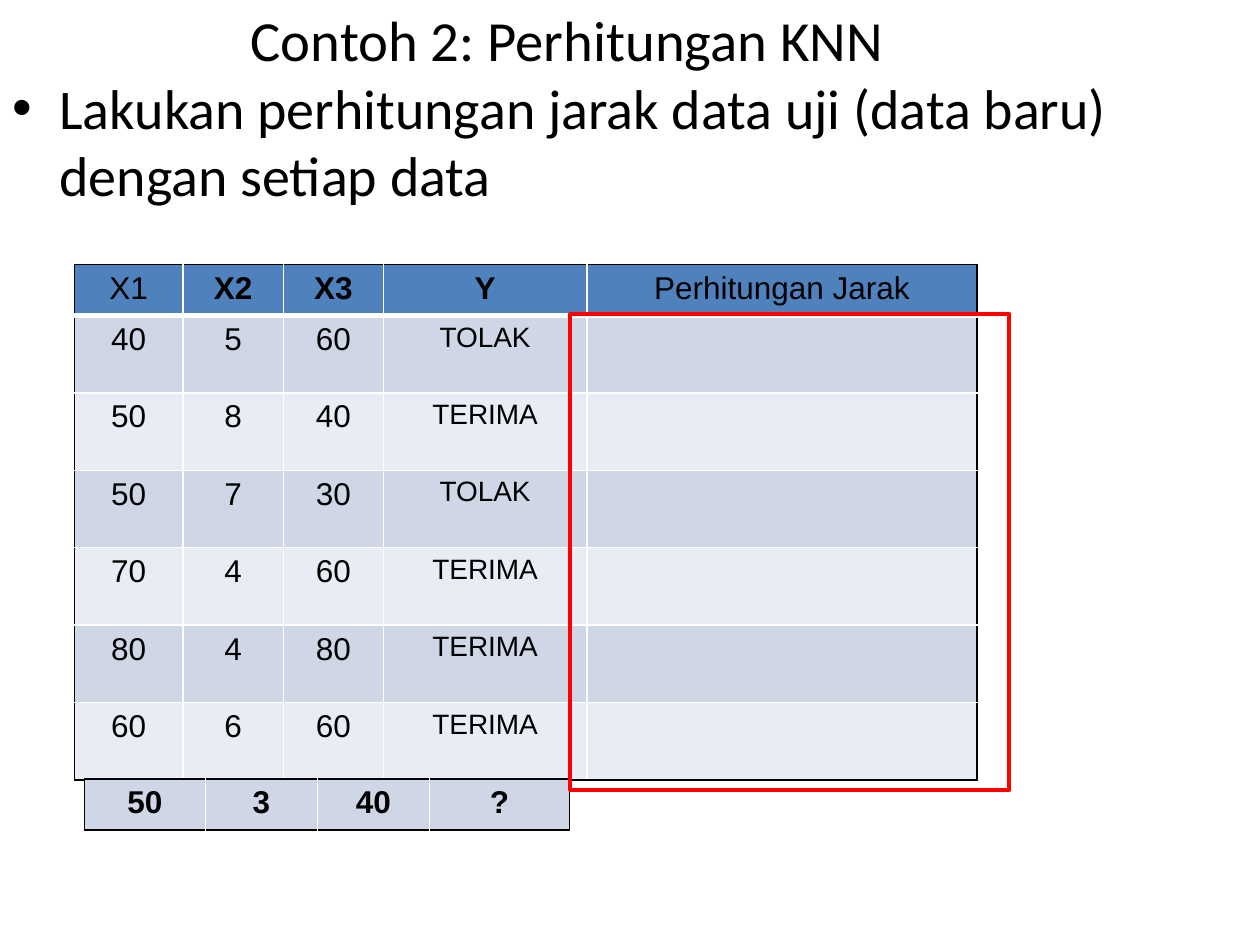
from lxml.etree import SubElement
from pptx import Presentation
from pptx.dml.color import RGBColor
from pptx.enum.shapes import MSO_SHAPE
from pptx.enum.text import MSO_ANCHOR, MSO_AUTO_SIZE, PP_ALIGN
from pptx.oxml import parse_xml
from pptx.oxml.ns import nsdecls, qn
from pptx.util import Cm, Pt


def color(hex_text):
    return RGBColor.from_string(hex_text)


def style_cell(cell, text, fill, size, bold, borders):
    """Fill a cell and draw its borders, given as (colour, points) for L, R, T, B."""
    cell.text = text
    cell.margin_left = cell.margin_right = Cm(0.18)
    cell.margin_top = cell.margin_bottom = Cm(0.13)
    cell.fill.solid()
    cell.fill.fore_color.rgb = color(fill)
    paragraph = cell.text_frame.paragraphs[0]
    paragraph.alignment = PP_ALIGN.CENTER
    for run in paragraph.runs:
        run.font.name = "Arial"
        run.font.size = Pt(size)
        run.font.bold = bold
        run.font.color.rgb = color("000000")
    properties = cell._tc.get_or_add_tcPr()
    for position, (side, (line_color, width)) in enumerate(zip("LRTB", borders)):
        properties.insert(position, parse_xml(
            f'<a:ln{side} {nsdecls("a")} w="{Pt(width)}"><a:solidFill>'
            f'<a:srgbClr val="{line_color}"/></a:solidFill></a:ln{side}>'))


presentation = Presentation()
presentation.slide_width = Cm(25.4)
presentation.slide_height = Cm(19.05)
slide = presentation.slides.add_slide(presentation.slide_layouts[5])

# Title
title = slide.shapes.title
title.left, title.top, title.width, title.height = Cm(0), Cm(0), Cm(22.86), Cm(1.55)
title.text_frame.text = "Contoh 2: Perhitungan KNN"
title.text_frame.auto_size = MSO_AUTO_SIZE.NONE
title.text_frame.vertical_anchor = MSO_ANCHOR.MIDDLE
title.text_frame.paragraphs[0].alignment = PP_ALIGN.CENTER

# Instruction with a bullet
instruction = slide.shapes.add_textbox(Cm(0), Cm(1.35), Cm(22.86), Cm(12.57))
instruction.text_frame.word_wrap = True
instruction.text_frame.text = "Lakukan perhitungan jarak data uji (data baru) dengan setiap data"
bullet = instruction.text_frame.paragraphs[0]._p.get_or_add_pPr()
bullet.set("marL", str(Cm(0.95)))
bullet.set("indent", str(-Cm(0.95)))
SubElement(bullet, qn("a:buFont")).set("typeface", "Arial")
SubElement(bullet, qn("a:buChar")).set("char", "•")

for heading, size in ((title, 32.4), (instruction, 32)):
    font = heading.text_frame.paragraphs[0].runs[0].font
    font.name = "Calibri"
    font.size = Pt(size)
    font.color.rgb = color("000000")

# Training data
BLACK, WHITE, HEADER_RULE = ("000000", 1), ("FFFFFF", 1), ("FFFFFF", 3)
BANDS = ("E8ECF4", "CFD7E7")
training_rows = [
    ("X1", "X2", "X3", "Y", "Perhitungan Jarak"),
    ("40", "5", "60", "TOLAK", ""),
    ("50", "8", "40", "TERIMA", ""),
    ("50", "7", "30", "TOLAK", ""),
    ("70", "4", "60", "TERIMA", ""),
    ("80", "4", "80", "TERIMA", ""),
    ("60", "6", "60", "TERIMA", ""),
]
test_rows = [("50", "3", "40", "?")]

# Both tables: left, top, column widths, rows, whether the first row is a header
tables = [
    (1.5, 5.33, (2.19, 2.02, 2.02, 4.1, 7.87), training_rows, True),
    (1.7, 15.7, (2.44, 2.26, 2.26, 2.82), test_rows, False),
]
for left, top, widths, rows, has_header in tables:
    heights = [1.03] + [1.56] * (len(rows) - 1)
    table = slide.shapes.add_table(len(rows), len(widths), Cm(left), Cm(top),
                                   Cm(sum(widths)), Cm(sum(heights))).table
    table.first_row = has_header
    for column, width in zip(table.columns, widths):
        column.width = Cm(width)
    last_row, last_column = len(rows) - 1, len(widths) - 1
    for r, values in enumerate(rows):
        table.rows[r].height = Cm(heights[r])
        is_header = has_header and r == 0
        fill = "4F81BD" if is_header else BANDS[r % 2] if has_header else BANDS[1]
        rule_above = HEADER_RULE if has_header and r == 1 else WHITE
        for c, value in enumerate(values):
            borders = (
                BLACK if c == 0 else WHITE,
                BLACK if c == last_column else WHITE,
                BLACK if r == 0 else rule_above,
                BLACK if r == last_row else HEADER_RULE if is_header else WHITE,
            )
            size = 16 if value in ("TOLAK", "TERIMA") else 18
            bold = r == 0 and value not in ("X1", "Perhitungan Jarak")
            style_cell(table.cell(r, c), value, fill, size, bold, borders)

# Frame around the distance column
distance_frame = slide.shapes.add_shape(MSO_SHAPE.RECTANGLE, Cm(11.5), Cm(6.33), Cm(8.85), Cm(9.6))
distance_frame.shadow.inherit = False
distance_frame.fill.background()
distance_frame.line.color.rgb = color("FF0000")
distance_frame.line.width = Pt(2.25)

presentation.save("out.pptx")
